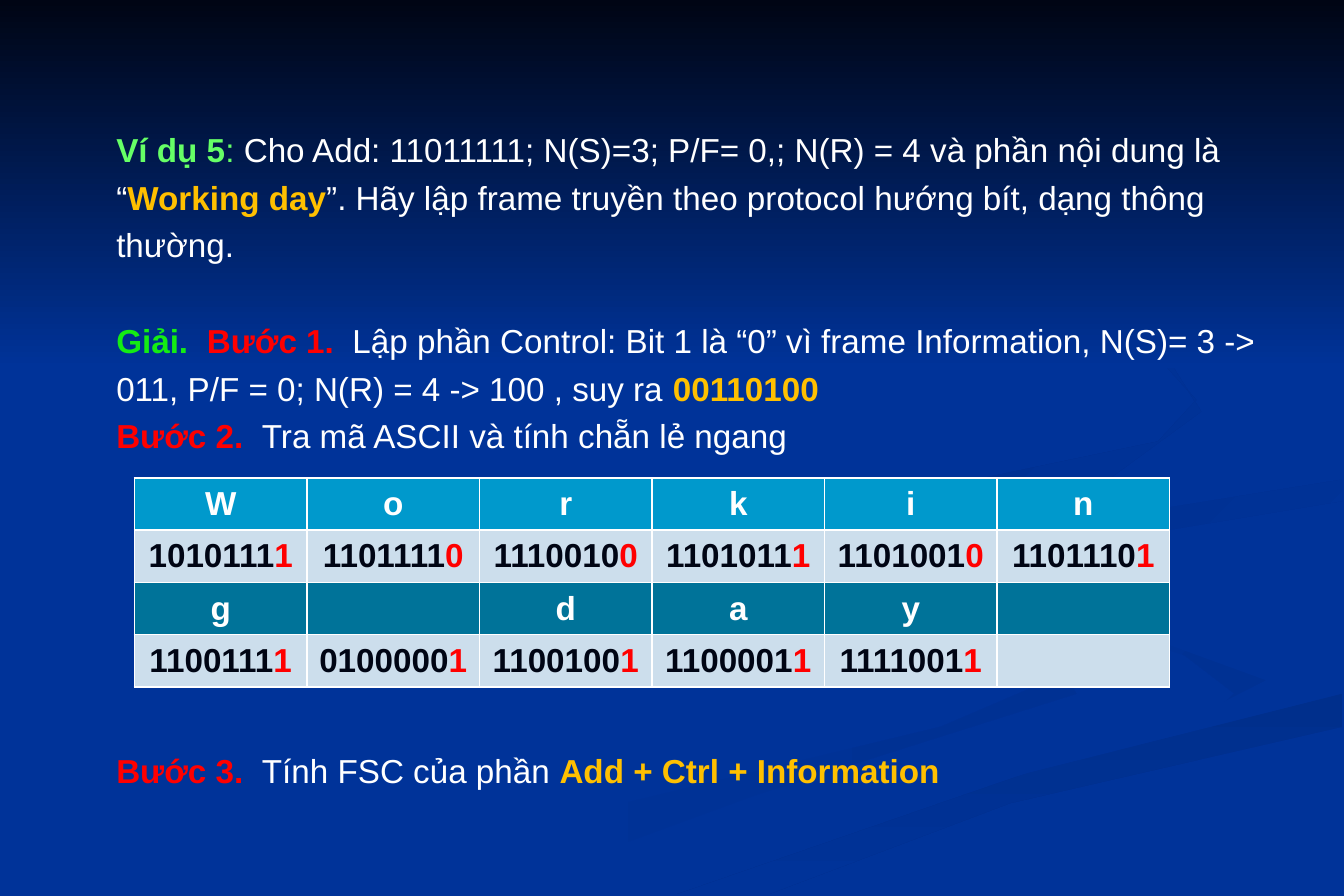
import pptx
import pptx.dml.color
import pptx.enum.shapes
import pptx.enum.text
import pptx.util

Pt = pptx.util.Pt

COLORS = {
    "blue": "003399", "night": "000514", "white": "FFFFFF", "mint": "66FF66",
    "green": "14EC14", "red": "FF0000", "gold": "FFC000", "header": "0099CC",
    "band": "007399", "cell": "CCDEEC", "ribbon": "003193", "sweep": "002F8C",
    "curl": "003091", "arc": "002F8E",
}

SWIRLS = [
    ("blue", "ribbon", 0, [
        (633, 398), (498, 357), (466, 330), (487, 356), (637, 408), (567, 438),
        (372, 485), (243, 539), (292, 539), (456, 479), (649, 418)]),
    ("blue", "ribbon", 315, [
        (764, 410), (733, 389), (603, 353), (587, 334), (604, 360), (714, 395),
        (744, 418), (724, 436)]),
    ("sweep", "blue", 270, [
        (408, 539), (463, 539), (609, 484), (809, 438), (809, 418), (619, 466)]),
    ("blue", "blue", 0, [
        (587, 334), (642, 366), (763, 410), (704, 440), (502, 492), (387, 539),
        (619, 466), (809, 418), (809, 387), (662, 354), (633, 333), (701, 305),
        (809, 289), (809, 279), (624, 307)]),
    ("curl", "blue", 315, [
        (633, 331), (669, 357), (652, 340), (683, 323), (809, 302), (809, 289),
        (666, 312)]),
    ("arc", "blue", 315, [
        (554, 310), (668, 289), (724, 248), (700, 210), (618, 168), (685, 201),
        (721, 241), (698, 266), (526, 302), (469, 330), (504, 360), (481, 338)]),
]

PARAGRAPHS = [
    (0, [("Ví dụ 5", "mint", True), (": ", "mint", False),
         ("Cho Add: 11011111; N(S)=3; P/F= 0,; N(R) = 4 và phần nội dung là",
          "white", False)]),
    (0, [("“", "white", False), ("Working day", "gold", True),
         ("”. Hãy lập frame truyền theo protocol hướng bít, dạng thông thường.",
          "white", False)]),
    (28.8, [("Giải.  ", "green", True), ("Bước 1.  ", "red", True),
            ("Lập phần Control: Bit 1 là “0” vì frame Information, N(S)= 3 -> 011, "
             "P/F = 0; N(R) = 4 -> 100 , suy ra ", "white", False),
            ("00110100", "gold", True)]),
    (0, [("Bước 2.  ", "red", True),
         ("Tra mã ASCII và tính chẵn lẻ ngang", "white", False)]),
    (173, [("Bước 3.  ", "red", True), ("Tính FSC của phần ", "white", False),
           ("Add + Ctrl + Information", "gold", True)]),
]

CODE_ROWS = [
    ("header", ["W", "o", "r", "k", "i", "n"]),
    ("cell", ["10101111", "11011110", "11100100", "11010111", "11010010", "11011101"]),
    ("band", ["g", "", "d", "a", "y", ""]),
    ("cell", ["11001111", "01000001", "11001001", "11000011", "11110011", ""]),
]


def rgb(name):
    return pptx.dml.color.RGBColor.from_string(COLORS[name])


def paint(shape, start, end, angle):
    shape.shadow.inherit = False
    shape.line.fill.background()
    if start == end:
        shape.fill.solid()
        shape.fill.fore_color.rgb = rgb(start)
        return
    shape.fill.gradient()
    shape.fill.gradient_angle = angle
    for stop, name in zip(shape.fill.gradient_stops, (start, end)):
        stop.color.rgb = rgb(name)


def add_swirl(page, start, end, angle, points):
    corners = [(Pt(x), Pt(y)) for x, y in points]
    builder = page.shapes.build_freeform(*corners[0])
    builder.add_line_segments(corners[1:], close=True)
    paint(builder.convert_to_shape(), start, end, angle)


def add_sky(page):
    sky = page.shapes.add_shape(
        pptx.enum.shapes.MSO_SHAPE.RECTANGLE, 0, 0, Pt(810), Pt(222))
    paint(sky, "night", "blue", 270)


def set_font(para):
    para.font.name = "Arial"
    para.font.size = Pt(20)


def add_span(para, text, color, bold=None):
    span = para.add_run()
    span.text = text
    span.font.color.rgb = rgb(color)
    if bold is not None:
        span.font.bold = bold


def add_exercise(page):
    box = page.shapes.add_textbox(Pt(63), Pt(66), Pt(714), Pt(444))
    frame = box.text_frame
    frame.word_wrap = True
    frame.vertical_anchor = pptx.enum.text.MSO_ANCHOR.TOP
    frame.margin_top = Pt(7)
    for index, (gap, spans) in enumerate(PARAGRAPHS):
        para = frame.add_paragraph() if index else frame.paragraphs[0]
        para.line_spacing = 1.2
        if gap:
            para.space_before = Pt(gap)
        set_font(para)
        for text, color, bold in spans:
            add_span(para, text, color, bold)


def fill_cell(cell, text, fill):
    cell.fill.solid()
    cell.fill.fore_color.rgb = rgb(fill)
    cell.vertical_anchor = pptx.enum.text.MSO_ANCHOR.MIDDLE
    para = cell.text_frame.paragraphs[0]
    para.alignment = pptx.enum.text.PP_ALIGN.CENTER
    set_font(para)
    para.font.bold = True
    if fill == "cell" and text:
        add_span(para, text[:-1], "night")
        add_span(para, text[-1], "red")
    elif text:
        add_span(para, text, "white")


def add_code_table(page):
    table = page.shapes.add_table(
        len(CODE_ROWS), 6, Pt(81), Pt(288), Pt(624), Pt(126)).table
    for row, (fill, texts) in enumerate(CODE_ROWS):
        for column, text in enumerate(texts):
            fill_cell(table.cell(row, column), text, fill)


def main():
    deck = pptx.Presentation()
    deck.slide_width, deck.slide_height = Pt(810), Pt(540)
    page = deck.slides.add_slide(deck.slide_layouts[6])
    page.background.fill.solid()
    page.background.fill.fore_color.rgb = rgb("blue")
    for swirl in SWIRLS:
        add_swirl(page, *swirl)
    add_sky(page)
    add_exercise(page)
    add_code_table(page)
    deck.save("out.pptx")


if __name__ == "__main__":
    main()
